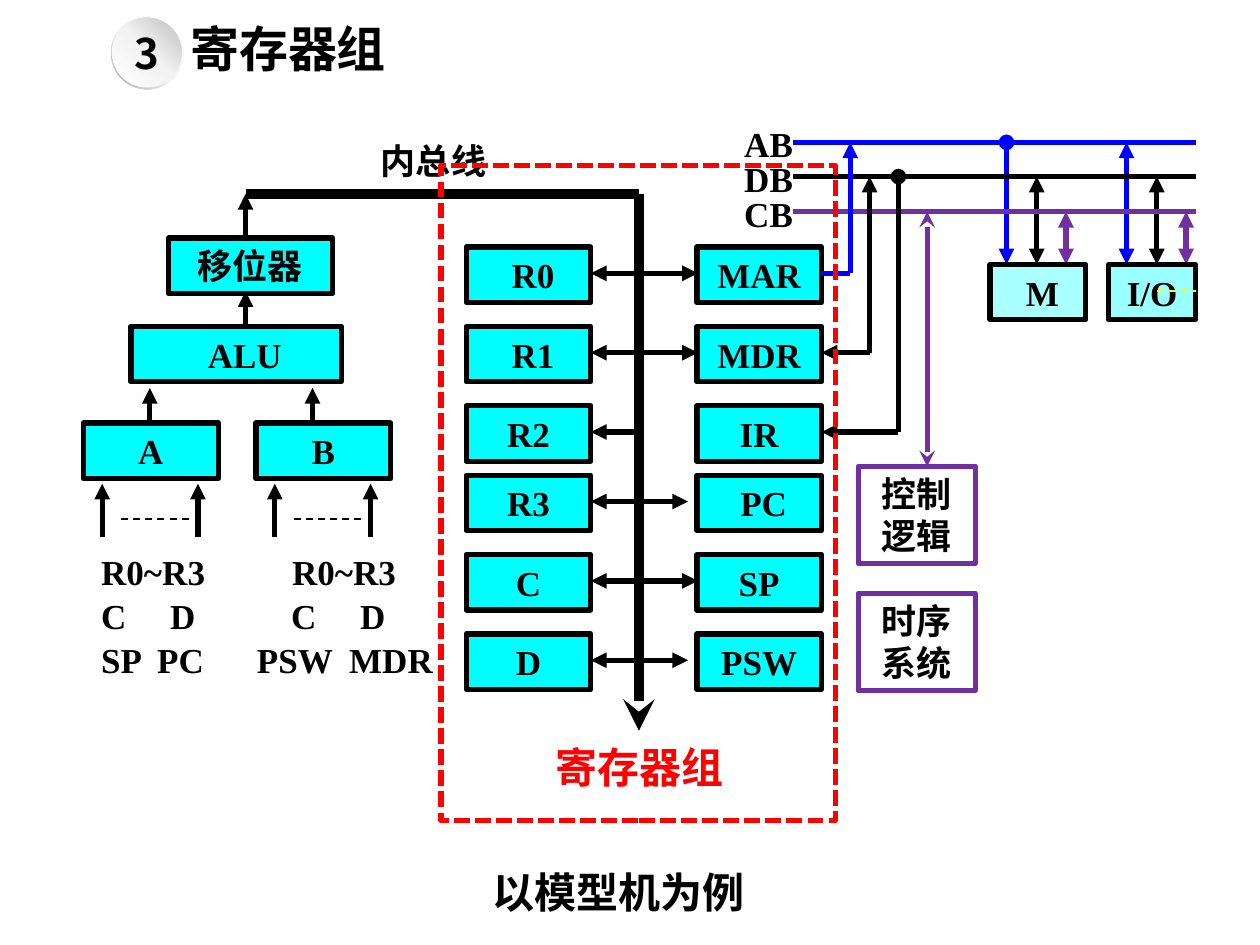
"""Build the slide on the register group of a model computer."""
import copy

import pptx
import pptx.dml.color
import pptx.enum.dml
import pptx.enum.shapes
import pptx.enum.text
import pptx.oxml.ns
import pptx.oxml.xmlchemy
import pptx.util
from lxml import etree

Cm = pptx.util.Cm
Pt = pptx.util.Pt
color = pptx.dml.color.RGBColor.from_string
qn = pptx.oxml.ns.qn
SHAPES = pptx.enum.shapes.MSO_SHAPE
DASHES = pptx.enum.dml.MSO_LINE
ALIGN = pptx.enum.text.PP_ALIGN
MIDDLE = pptx.enum.text.MSO_ANCHOR.MIDDLE
SERIF, SANS = "Times New Roman", "Noto Sans CJK SC"
BLACK, BLUE, PURPLE, RED, CYAN = "000000", "0000FF", "7030A0", "FF0000", "00FFFF"

presentation = pptx.Presentation()
presentation.slide_width, presentation.slide_height = Cm(25.4), Cm(19.05)
slide = presentation.slides.add_slide(presentation.slide_layouts[5])


def add_line(x1, y1, x2, y2, line_color=BLACK, head=None, tail=None, width=3, dash=None):
    """Add a straight line with optional ends."""
    line = slide.shapes.add_connector(
        pptx.enum.shapes.MSO_CONNECTOR.STRAIGHT, Cm(x1), Cm(y1), Cm(x2), Cm(y2))
    line.line.color.rgb = color(line_color)
    line.line.width = Pt(width)
    if dash:
        line.line.dash_style = dash
    properties = line._element.spPr
    for tag, kind in (("a:headEnd", head), ("a:tailEnd", tail)):
        if kind:
            etree.SubElement(properties.find(qn("a:ln")), qn(tag), type=kind)
    etree.SubElement(properties, qn("a:effectLst"))


def add_box(left, top, width, height, text, fill=None, outline=None, size=20,
            font_color=BLACK, font=SERIF, shift=0):
    """Add a centred label, framed when an outline is given."""
    place = Cm(left), Cm(top), Cm(width), Cm(height)
    if outline:
        shape = slide.shapes.add_shape(SHAPES.RECTANGLE, *place)
        shape.shadow.inherit = False
        shape.line.color.rgb = color(outline)
        shape.line.width = Pt(3)
    else:
        shape = slide.shapes.add_textbox(*place)
    if fill:
        shape.fill.solid()
        shape.fill.fore_color.rgb = color(fill)
    else:
        shape.fill.background()
    frame = shape.text_frame
    frame.word_wrap = True
    frame.vertical_anchor = MIDDLE
    frame.margin_left, frame.margin_right = Cm(0.2 + shift), Cm(0.2)
    frame.text = text
    paragraph = frame.paragraphs[0]
    paragraph.alignment = ALIGN.CENTER
    paragraph.font.name, paragraph.font.size, paragraph.font.bold = font, Pt(size), True
    paragraph.font.color.rgb = color(font_color)
    return shape


title = slide.shapes.title
title.left, title.top, title.width, title.height = Cm(3.58), Cm(0.25), Cm(7.39), Cm(1.45)
title.text_frame.text = "寄存器组"
title.text_frame.vertical_anchor = MIDDLE
title.text_frame.auto_size = pptx.enum.text.MSO_AUTO_SIZE.NONE
paragraph = title.text_frame.paragraphs[0]
paragraph.alignment = ALIGN.LEFT
paragraph.font.name, paragraph.font.size, paragraph.font.bold = SERIF, Pt(28), True
paragraph.font.color.rgb = color(BLACK)

for x, start, end in ((3.02, 8.53, 7.82), (6.3, 8.53, 7.82), (4.95, 6.55, 5.87),
                      (4.95, 4.8, 3.91), (2.06, 10.82, 9.75), (3.99, 10.82, 9.75),
                      (5.54, 10.82, 9.75), (7.47, 10.82, 9.75)):
    add_line(x, start, x, end, tail="triangle")
for x in (2.44, 5.92):
    add_line(x, 10.46, x + 1.37, 10.46, width=1, dash=DASHES.DASH)
for left, top, width, text, shift in ((1.68, 8.53, 2.72, "A", 0), (5.16, 8.53, 2.72, "B", 0),
                                      (3.4, 4.8, 3.3, "移位器", 0), (2.64, 6.58, 4.24, "ALU", 0.35)):
    add_box(left, top, width, 1.12, text, CYAN, BLACK, shift=shift)

sources = slide.shapes.add_textbox(Cm(0.89), Cm(11.28), Cm(8.31), Cm(2.64)).text_frame
sources.word_wrap = True
sources.margin_left, sources.margin_right = Cm(1.15), Cm(0)
source_rows = (("R0~R3\tR0~R3", (3.85,)), ("C\tD\tC\tD", (1.39, 3.83, 5.22)),
               ("SP\tPC\tPSW\tMDR", (1.13, 3.14, 5)))
for index, (text, stops) in enumerate(source_rows):
    paragraph = sources.add_paragraph() if index else sources.paragraphs[0]
    paragraph.text = text
    paragraph.line_spacing = 0.6
    if index:
        paragraph.space_before = Pt(10.5)
    tabs = etree.SubElement(paragraph._p.get_or_add_pPr(), qn("a:tabLst"))
    for stop in stops:
        etree.SubElement(tabs, qn("a:tab"), pos=str(Cm(stop)), algn="l")
    paragraph.font.name, paragraph.font.size, paragraph.font.bold = SERIF, Pt(20), True
    paragraph.font.color.rgb = color(BLACK)

add_line(4.95, 3.91, 12.88, 3.91, width=6)
add_line(12.88, 3.91, 12.88, 14.73, tail="stealth", width=6)
registers = (("R0", "MAR", 4.98, 14.07, 0.18, 0), ("R1", "MDR", 6.58, 14.07, 0.18, 0),
             ("R2", "IR", 8.18, 12.9, 0, 0), ("R3", "PC", 9.58, 13.87, 0, 0.18),
             ("C", "SP", 11.18, 14.07, 0, 0), ("D", "PSW", 12.78, 13.87, 0, 0))
for left_name, right_name, top, start, left_shift, right_shift in registers:
    head = None if left_name == "R2" else "triangle"
    add_line(start, top + 0.53, 11.91, top + 0.53, head=head, tail="triangle")
    add_box(9.4, top, 2.51, 1.12, left_name, CYAN, BLACK, shift=left_shift)
    add_box(14.05, top, 2.51, 1.12, right_name, CYAN, BLACK, shift=right_shift)

buses = (("AB", 2.87, BLUE, 0), ("DB", 3.56, BLACK, 0.61), ("CB", 4.27, PURPLE, 1.2))
for name, y, bus_color, offset in buses:
    add_line(15.98, y, 24.1, y, bus_color)
    add_box(14.43, y - 0.53, 2.13, 1.12, name)
    for x in (20.29, 22.71):
        head = "oval" if (name, x) == ("AB", 20.29) else "triangle"
        add_line(x + offset, y, x + offset, 5.33, bus_color, head, "triangle")

add_line(16.56, 5.51, 17.14, 5.51, BLUE)
add_line(17.14, 5.51, 17.14, 2.87, BLUE, tail="triangle")
add_line(17.53, 7.11, 16.56, 7.11, tail="triangle")
add_line(17.53, 7.11, 17.53, 3.56, tail="triangle")
add_line(18.11, 3.56, 18.11, 8.71, head="oval")
add_line(18.11, 8.71, 16.56, 8.71, tail="triangle")
add_line(18.69, 4.27, 18.69, 9.4, PURPLE, "stealth", "stealth")

add_box(19.96, 5.33, 1.93, 1.12, "M", "AAFFFF", BLACK, shift=0.18)
add_box(22.35, 5.33, 1.75, 1.12, "I/O", "99FFFF", BLACK)
add_line(23.32, 5.87, 24.1, 5.87, "FFFF00", width=1, dash=DASHES.DASH)
add_box(6.71, 2.67, 4.06, 1.12, "内总线")
add_box(17.3, 9.4, 2.36, 1.96, "控制逻辑", outline=PURPLE)
add_box(17.3, 11.96, 2.36, 1.96, "时序系统", outline=PURPLE)

group_frame = add_box(8.89, 3.33, 7.95, 13.21, "", outline=RED)
group_frame.line.dash_style = DASHES.SQUARE_DOT
add_box(10.9, 14.83, 3.99, 1.27, "寄存器组", size=24, font_color=RED, font=SANS)

for kind, left, top, size, angle, middle, end in (
        (SHAPES.DONUT, 2.24, 0.33, 1.47, 225, 0.55, "A6A6A6"),
        (SHAPES.OVAL, 2.26, 0.36, 1.4, 45, 0.51, "BFBFBF")):
    badge = slide.shapes.add_shape(kind, Cm(left), Cm(top), Cm(size), Cm(size))
    badge.shadow.inherit = False
    badge.line.fill.background()
    badge.fill.gradient()
    badge.fill.gradient_angle = angle
    stop_list = badge._element.spPr.find(".//" + qn("a:gsLst"))
    stop_list.append(copy.deepcopy(stop_list[-1]))
    for stop, position, shade in zip(badge.fill.gradient_stops, (0, middle, 1),
                                     ("FFFFFF", "F2F2F2", end)):
        stop.position = position
        stop.color.rgb = color(shade)
    if kind == SHAPES.DONUT:
        badge.adjustments[0] = 0.05
add_box(2.26, 0.36, 1.4, 1.4, "3", size=24, font=SANS)
add_box(9.65, 17.35, 5.64, 1.27, "以模型机为例", size=24)

presentation.save("out.pptx")
